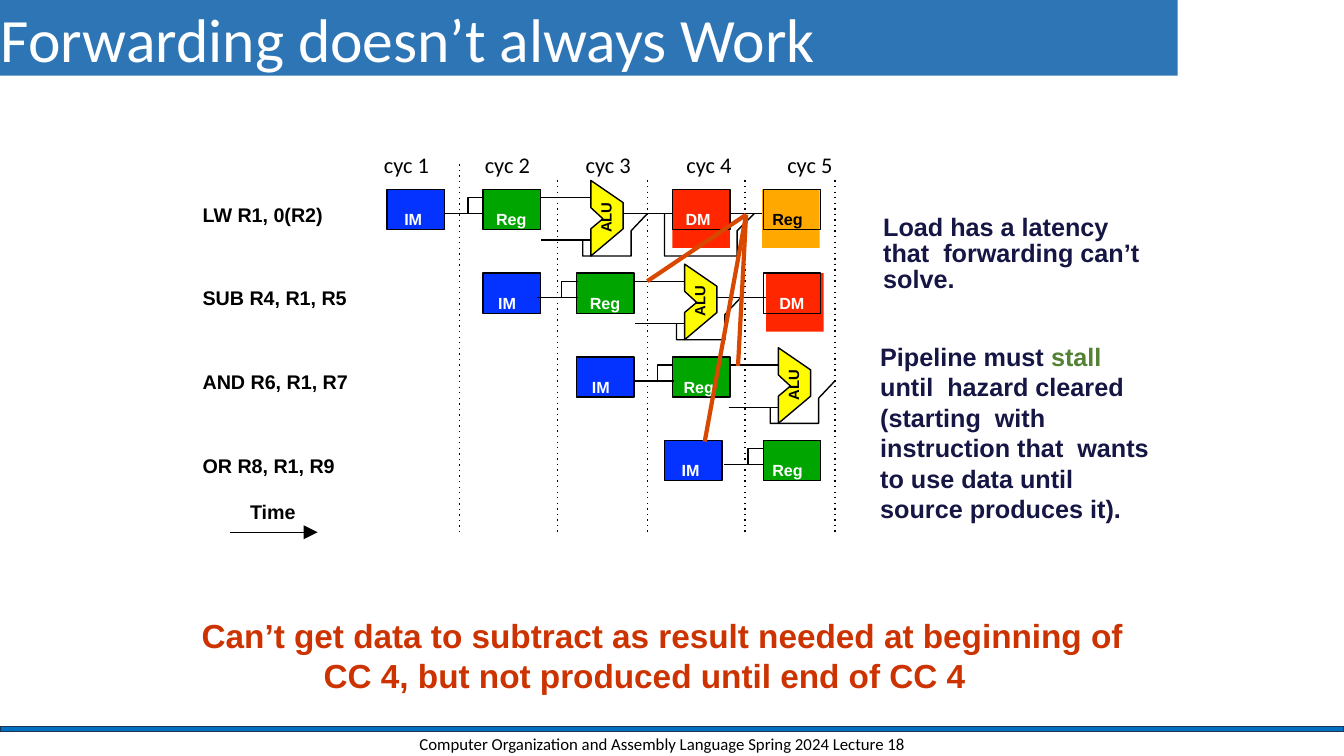
from lxml import etree
from pptx import Presentation
from pptx.dml.color import RGBColor
from pptx.enum.shapes import MSO_CONNECTOR, MSO_SHAPE
from pptx.enum.text import MSO_ANCHOR, PP_ALIGN
from pptx.oxml.ns import qn
from pptx.util import Pt

PX = 9144  # 100 px to the inch
STRAIGHT = MSO_CONNECTOR.STRAIGHT
RECT = MSO_SHAPE.RECTANGLE
TOP, MIDDLE = MSO_ANCHOR.TOP, MSO_ANCHOR.MIDDLE
LEFT, CENTER = PP_ALIGN.LEFT, PP_ALIGN.CENTER

COLORS = {
    "black": "000000", "white": "FFFFFF", "title": "2E75B6",
    "bar": "0070C0", "bar_line": "1E3256", "fetch": "0433FF",
    "reg": "00A500", "alu": "FFFB00", "memory": "FF2600",
    "write": "FFA900", "forward": "D84800", "caption": "CC3300",
    "note": "161645", "stall": "548235",
}

ROW_TOP, ROW_STEP = 188, 83
ALU_LEFT, ALU_STEP = 586, 93
BOX_W, BOX_H = 57, 40
COLUMNS = [384, 479, 572, 667, 757]
CYCLE_ENDS = [456, 553, 642, 739, 828]
CYCLE_STEP = 100
# instruction, IM left, label indents of IM and Reg
INSTRUCTIONS = [
    ("LW R1, 0(R2)", COLUMNS[0], 17, 13),
    ("SUB R4, R1, R5", COLUMNS[1], 15, 13),
    ("AND R6, R1, R7", COLUMNS[2], 15, 11),
    ("OR R8, R1, R9", 659, 17, 9),
]
FORWARD_FROM = (740, 213)
FORWARD_TO = [(642, 279), (732, 363), (699, 438)]


def rgb(name):
    return RGBColor.from_string(COLORS[name])


def paint(sp, fill=None, line=None):
    sp.shadow.inherit = False
    if fill:
        sp.fill.solid()
        sp.fill.fore_color.rgb = rgb(fill)
    else:
        sp.fill.background()
    if line:
        sp.line.color.rgb = rgb(line)
        sp.line.width = Pt(1)
    else:
        sp.line.fill.background()


def set_frame(tf, insets=(0, 0, 0, 0), anchor=TOP, wrap=True):
    sides = ("margin_left", "margin_top", "margin_right", "margin_bottom")
    values = dict(zip(sides, (v * PX for v in insets)))
    values.update(vertical_anchor=anchor, word_wrap=wrap)
    for name, value in values.items():
        setattr(tf, name, value)


def write(p, runs, size, font="Arial", bold=True, **para):
    """Fill a paragraph with (text, colour) runs."""
    for name, value in para.items():
        setattr(p, name, value)
    for text, color in runs:
        r = p.add_run()
        r.text = text
        for name, value in dict(name=font, size=Pt(size), bold=bold).items():
            setattr(r.font, name, value)
        r.font.color.rgb = rgb(color)


def add_text(s, box, runs, size, frame=None, **style):
    sp = s.shapes.add_textbox(*(v * PX for v in box))
    set_frame(sp.text_frame, **(frame or {"insets": (1, 1, 0, 0)}))
    write(sp.text_frame.paragraphs[0], runs, size, **style)
    return sp


def add_rect(s, box, fill=None, line=None):
    sp = s.shapes.add_shape(RECT, *(v * PX for v in box))
    paint(sp, fill, line)
    return sp


def add_line(s, start, end, color="black", width=1, dash=None, arrow=False):
    sp = s.shapes.add_connector(STRAIGHT, *(v * PX for v in start + end))
    sp.line.color.rgb = rgb(color)
    sp.line.width = Pt(width)
    ln = sp._element.spPr.find(qn("a:ln"))
    if dash:
        etree.SubElement(ln, qn("a:prstDash"), val=dash)
    if arrow:
        etree.SubElement(ln, qn("a:tailEnd"), type="triangle", w="lg", len="lg")
    etree.SubElement(sp._element.spPr, qn("a:effectLst"))


def add_outline(s, x, y, points, fill=None):
    """Draw a black outline through points given relative to (x, y)."""
    spots = [(x + dx, y + dy) for dx, dy in points]
    builder = s.shapes.build_freeform(*spots[0], scale=PX)
    builder.add_line_segments(spots[1:], close=bool(fill))
    paint(builder.convert_to_shape(), fill, "black")


def add_stage(s, x, y, label, indent, fill=None, color="white"):
    sp = add_rect(s, (x, y, BOX_W, BOX_H), fill, "black")
    set_frame(sp.text_frame, insets=(indent, 20, 0, 0), wrap=False)
    write(sp.text_frame.paragraphs[0], [(label, color)], 11.5, alignment=LEFT)


def add_fetch_link(s, x, y):
    """Wire the latch in front of the Reg box at (x, y)."""
    add_line(s, (x - 39, y + 24), (x + 1, y + 24))
    add_outline(s, x, y, [(-15, 24), (-15, 8), (1, 8)])


def add_alu(s, x, y):
    add_outline(s, x, y - 9, [(0, 0), (0, 27), (12, 38), (0, 48), (0, 75),
                              (32, 48), (32, 22)], "alu")
    sp = add_text(s, (x + 7, y + 10, 15, 33), [("ALU", "black")], 10.6,
                  frame={}, line_spacing=Pt(11.2))
    sp.text_frame._txBody.bodyPr.set("vert", "vert270")
    for dy in (8, 50):
        add_line(s, (x - 49, y + dy), (x, y + dy))
    add_outline(s, x, y, [(-8, 50), (-8, 66), (40, 66), (40, 41), (56, 24)])


def add_memory(s, x, y, shift, indent):
    add_rect(s, (x + shift, y, BOX_W, 58), "memory")
    add_stage(s, x, y, "DM", indent)
    add_line(s, (x + shift - 49, y + 24), (x + shift, y + 24))


def add_write_back(s, x, y):
    add_rect(s, (x - 1, y, BOX_W, 58), "write")
    add_stage(s, x, y, "Reg", 9, color="black")
    add_line(s, (x - 34, y + 24), (x - 1, y + 24))
    add_outline(s, x, y, [(-98, 24), (-98, 66), (-26, 66), (-26, 41), (-9, 24)])


def add_pipeline(s):
    for i, (name, fetch_x, fetch_indent, reg_indent) in enumerate(INSTRUCTIONS):
        y = ROW_TOP + i * ROW_STEP
        reg_x = COLUMNS[i + 1]
        add_text(s, (200, y + 12, 160, 25), [(name, "black")], 14.1)
        add_stage(s, fetch_x, y, "IM", fetch_indent, "fetch")
        add_stage(s, reg_x, y, "Reg", reg_indent, "reg")
        add_fetch_link(s, reg_x, y)
        if i < 3:
            add_alu(s, ALU_LEFT + i * ALU_STEP, y)
    add_memory(s, COLUMNS[3], ROW_TOP, 0, 13)
    add_memory(s, COLUMNS[4], ROW_TOP + ROW_STEP, 3, 16)
    add_write_back(s, COLUMNS[4], ROW_TOP)
    for i, x in enumerate(CYCLE_ENDS):
        add_line(s, (x, 179 if i else 163), (x, 529), dash="dot")
    for target in FORWARD_TO:
        add_line(s, FORWARD_FROM, target, "forward", 3)


def add_cycle_labels(s):
    count = len(CYCLE_ENDS)
    labels = "\t".join(f"cyc {n}" for n in range(1, count + 1))
    sp = add_text(s, (371, 145, 469, 37), [(labels, "black")], 16,
                  frame={"insets": (10, 5, 10, 5)}, font="Calibri", bold=False)
    ppr = sp.text_frame.paragraphs[0]._p.get_or_add_pPr()
    tabs = etree.SubElement(ppr, qn("a:tabLst"))
    for n in range(1, count):
        etree.SubElement(tabs, qn("a:tab"), pos=str(n * CYCLE_STEP * PX),
                         algn="l")


def add_title(s, text):
    sp = s.shapes.title
    box = dict(left=0, top=0, width=1168, height=75)
    for name, value in box.items():
        setattr(sp, name, value * PX)
    paint(sp, "title")
    set_frame(sp.text_frame, insets=(1, 1, 0, 0), anchor=MIDDLE)
    write(sp.text_frame.paragraphs[0], [(text, "white")], 44,
          font="Calibri", bold=False, alignment=LEFT)


def main():
    prs = Presentation()
    prs.slide_width, prs.slide_height = 1333 * PX, 750 * PX
    s = prs.slides.add_slide(prs.slide_layouts[5])
    add_rect(s, (0, 721, 1333, 5), "bar", "bar_line")
    add_title(s, "Forwarding doesn’t always Work")
    add_pipeline(s)
    add_cycle_labels(s)
    add_text(s, (247, 495, 60, 25), [("Time", "black")], 14.1)
    add_line(s, (228, 528), (315, 528), arrow=True)
    caption = add_text(
        s, (199, 608, 929, 82),
        [("Can’t get data to subtract as result needed at beginning of "
          "CC 4, but not produced until end of CC 4", "caption")], 23.8,
        frame={"insets": (0, 3, 0, 0)}, line_spacing=Pt(28.2))
    ppr = caption.text_frame.paragraphs[0]._p.get_or_add_pPr()
    ppr.set("marL", str(122 * PX))
    ppr.set("indent", str(-121 * PX))
    add_text(s, (875, 211, 273, 83),
             [("Load has a latency that  forwarding can’t solve.", "note")],
             18, frame={"insets": (1, 3, 0, 0)}, line_spacing=Pt(18.5))
    add_text(s, (872, 337, 278, 183),
             [("Pipeline must ", "note"), ("stall ", "stall"),
              ("until  hazard cleared (starting  with instruction that  "
               "wants to use data until source produces it).", "note")],
             18, line_spacing=1.01)
    add_text(s, (392, 724, 530, 28),
             [("Computer Organization and Assembly Language Spring 2024 "
               "Lecture 18", "black")], 12,
             frame={"insets": (10, 5, 10, 5), "anchor": MIDDLE},
             font="Calibri", bold=False, alignment=CENTER)
    prs.save("out.pptx")


if __name__ == "__main__":
    main()
